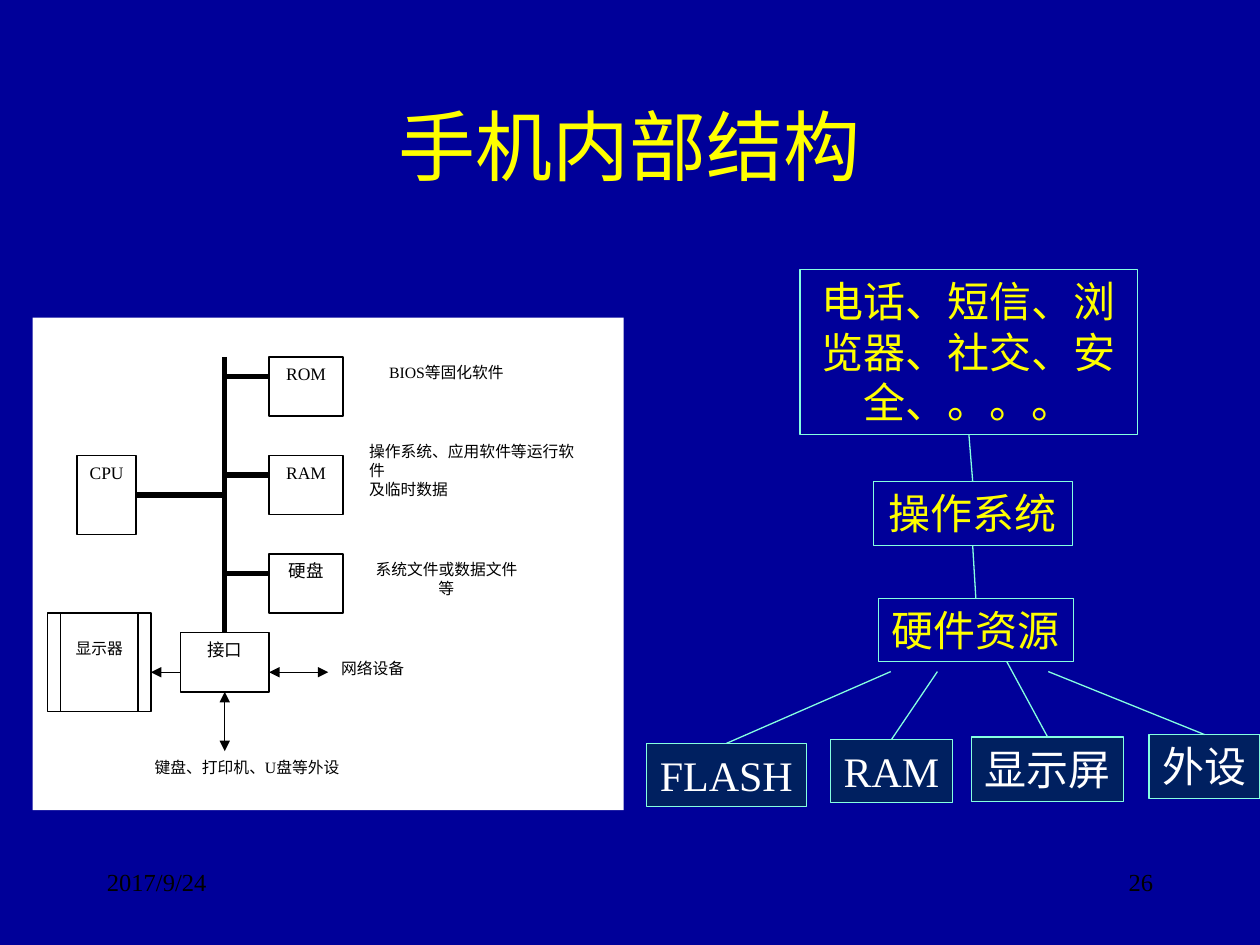
from dataclasses import dataclass
from lxml.etree import SubElement
from pptx import Presentation
from pptx.dml.color import RGBColor
from pptx.enum.shapes import MSO_CONNECTOR as LINK, MSO_SHAPE as SHAPE
from pptx.enum.text import MSO_ANCHOR as ANCHOR, PP_ALIGN as ALIGN
from pptx.oxml.ns import qn
from pptx.util import Inches, Pt

FONT = "Times New Roman"
BLACK, WHITE, YELLOW = "000000", "FFFFFF", "FFFF00"
BLUE, NAVY, MINT = "000099", "002060", "85FFE0"


@dataclass
class Grid:
    shapes: object
    left: float
    top: float
    column: float
    row: float

    def point(self, x, y):
        return Inches(self.left + x * self.column), Inches(self.top + y * self.row)

    def area(self, x, y, columns, rows):
        return *self.point(x, y), Inches(columns * self.column), Inches(rows * self.row)


def paint(color_format, color):
    color_format.rgb = RGBColor.from_string(color)


def write(shape, text, size, color, align=ALIGN.CENTER, inset=0.1, wrap=True):
    frame = shape.text_frame
    frame.text = text
    frame.word_wrap = wrap
    frame.margin_left = frame.margin_right = Inches(inset)
    for paragraph in frame.paragraphs:
        paragraph.alignment = align
        for run in paragraph.runs:
            run.font.name = FONT
            run.font.size = Pt(size)
            paint(run.font.color, color)
    return frame


def add_text(grid, area, text, size, color, align, anchor=ANCHOR.TOP):
    box = grid.shapes.add_textbox(*grid.area(*area))
    write(box, text, size, color, align).vertical_anchor = anchor


def add_box(grid, area, fill=None, outline=None, preset=SHAPE.RECTANGLE):
    box = grid.shapes.add_shape(preset, *grid.area(*area))
    box.shadow.inherit = False
    if fill:
        box.fill.solid()
        paint(box.fill.fore_color, fill)
    else:
        box.fill.background()
    if outline:
        paint(box.line.color, outline)
        box.line.width = Pt(0.75)
    else:
        box.line.fill.background()
    box.text_frame.vertical_anchor = ANCHOR.TOP
    return box


def add_line(grid, start, end, color, width=0.75, arrows=()):
    line = grid.shapes.add_connector(LINK.STRAIGHT, *grid.point(*start), *grid.point(*end))
    paint(line.line.color, color)
    line.line.width = Pt(width)
    properties = line._element.spPr
    for arrow in arrows:
        SubElement(properties.find(qn("a:ln")), qn(f"a:{arrow}"), type="triangle")
    SubElement(properties, qn("a:effectLst"))


def add_hardware_diagram(slide):
    grid = Grid(slide.shapes.add_group_shape().shapes, 0.26, 2.52, 4.69 / 40, 3.91 / 25)
    add_box(grid, (0, 0, 40, 25), WHITE)

    captions = [
        ("键盘、打印机、U盘等外设", (7, 22, 15, 2.5), ALIGN.CENTER),
        ("网络设备", (20, 17, 6, 3), ALIGN.CENTER),
        ("系统文件或数据文件等", (22, 12, 12, 3), ALIGN.CENTER),
        ("操作系统、应用软件等运行软件\n及临时数据", (22, 6, 16, 5), ALIGN.LEFT),
        ("BIOS等固化软件", (22, 2, 12, 3), ALIGN.CENTER),
    ]
    for text, area, align in captions:
        write(add_box(grid, area, WHITE), text, 9, BLACK, align, inset=0.09)

    bus = 13
    add_line(grid, (bus, 2), (bus, 16), BLACK, 3)
    add_line(grid, (7, 9), (bus, 9), BLACK, 3)
    parts = [("CPU", (3, 7, 4, 4)), ("接口", (10, 16, 6, 3))]
    for name, row in (("ROM", 2), ("RAM", 7), ("硬盘", 12)):
        add_line(grid, (bus, row + 1), (16, row + 1), BLACK, 3)
        parts.append((name, (16, row, 5, 3)))
    for name, area in parts:
        write(add_box(grid, area, WHITE, BLACK), name, 10, BLACK, inset=0.09)

    add_box(grid, (1, 15, 7, 5), WHITE, BLACK, SHAPE.FLOWCHART_PREDEFINED_PROCESS)
    write(add_box(grid, (2, 16, 5, 3), WHITE), "显示器", 9, BLACK, inset=0.05)
    both_ends = ("headEnd", "tailEnd")
    add_line(grid, (16, 18), (20, 18), BLACK, arrows=both_ends)
    add_line(grid, (bus, 19), (bus, 22), BLACK, arrows=both_ends)
    add_line(grid, (10, 18), (8, 18), BLACK, arrows=("tailEnd",))


def add_layer_diagram(page):
    layers = [
        ("电话、短信、浏览器、社交、安全、。。。", (63.5, 21.4, 26.8, 13.1), True),
        ("操作系统", (69.3, 38.2, 15.8, 5.1), True),
        ("硬件资源", (69.7, 47.5, 15.5, 5), False),
    ]
    for text, area, wrap in layers:
        write(add_box(page, area, outline=MINT), text, 24, YELLOW, wrap=wrap)
    for (_, upper, _), (_, lower, _) in zip(layers, layers[1:]):
        add_line(page, (upper[0] + upper[2] / 2, upper[1] + upper[3]),
                 (lower[0] + lower[2] / 2, lower[1]), MINT)

    resources = [
        ("FLASH", (51.3, 59, 12.7, 5), (70.7, 53.3)),
        ("RAM", (65.9, 58.7, 9.7, 5), (74.4, 53.3)),
        ("显示屏", (77.1, 58.5, 12.1, 5.1), (79.9, 52.5)),
        ("外设", (91.2, 58.3, 8.8, 5.1), (83.2, 53.3)),
    ]
    for name, area, start in resources:
        write(add_box(page, area, NAVY, MINT), name, 24, WHITE, wrap=False)
        add_line(page, start, (area[0] + area[2] / 2, area[1]), MINT)


def main():
    deck = Presentation()
    deck.slide_width, deck.slide_height = Inches(10), Inches(7.5)
    slide = deck.slides.add_slide(deck.slide_layouts[6])
    slide.background.fill.solid()
    paint(slide.background.fill.fore_color, BLUE)
    page = Grid(slide.shapes, 0, 0, 0.1, 0.1)
    add_text(page, (7.5, 5.2, 85, 12.5), "手机内部结构", 44, YELLOW, ALIGN.CENTER, ANCHOR.MIDDLE)
    add_text(page, (7.5, 68.3, 20.8, 5), "2017/9/24", 14, BLACK, ALIGN.LEFT)
    add_text(page, (71.7, 68.3, 20.8, 5), "26", 14, BLACK, ALIGN.RIGHT)
    add_hardware_diagram(slide)
    add_layer_diagram(page)
    deck.save("out.pptx")


if __name__ == "__main__":
    main()
